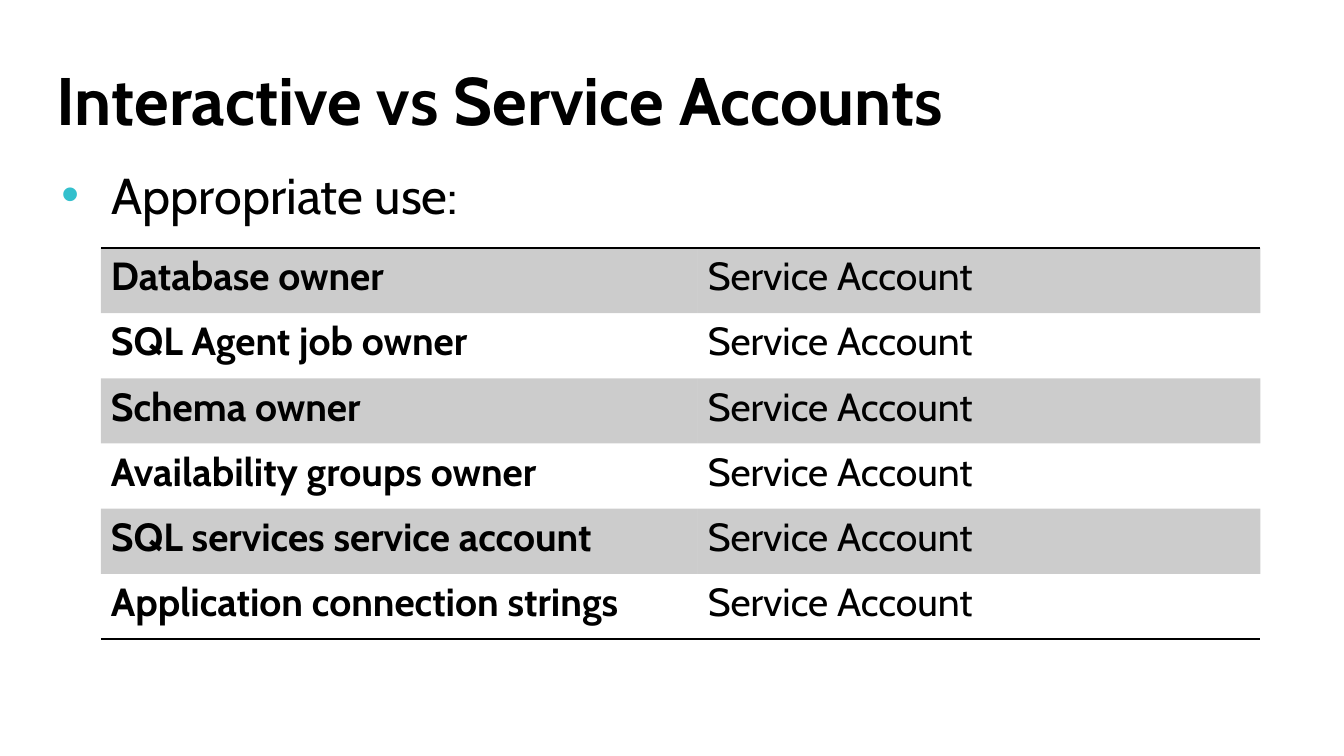
from lxml import etree
from pptx import Presentation
from pptx.dml.color import RGBColor
from pptx.enum import text
from pptx.oxml import ns
from pptx.util import Inches, Pt

TITLE = "Interactive vs Service Accounts"
LEAD = "Appropriate use:"
ROWS = [
    ("Database owner", "Service Account"),
    ("SQL Agent job owner", "Service Account"),
    ("Schema owner", "Service Account"),
    ("Availability groups owner", "Service Account"),
    ("SQL services service account", "Service Account"),
    ("Application connection strings", "Service Account"),
]
COLS = (5.92, 5.58)
HEIGHT = 3.88
FONT = "Cabin"
HUES = {"ink": "000000", "dot": "33C0CD", "page": "FFFFFF"}


def sub(node, tag, **attrs):
    """Add a child element in the drawing namespace."""
    return etree.SubElement(node, ns.qn("a:" + tag), attrs)


def write(frame, words, size, bold=False, line=None, bullet=None, indent=0.5):
    """Write one formatted paragraph into a text frame."""
    frame.word_wrap = True
    para = frame.paragraphs[0]
    if line:
        para.line_spacing = Pt(line)
    if bullet:
        props = para._p.get_or_add_pPr()
        props.set("marL", str(Inches(indent)))
        props.set("indent", str(-Inches(indent)))
        sub(sub(props, "buClr"), "srgbClr", val=HUES["dot"])
        sub(props, "buFont", typeface="Arial")
        sub(props, "buChar", char=bullet)
    run = para.add_run()
    run.text = words
    run.font.name, run.font.size, run.font.bold = FONT, Pt(size), bold
    run.font.color.rgb = RGBColor.from_string(HUES["ink"])


def box(slide, words, left, top, width, height, inset=0.05, **look):
    """Add a top-anchored text box."""
    frame = slide.shapes.add_textbox(*map(Inches, (left, top, width, height))).text_frame
    frame.margin_top = Inches(inset)
    frame.vertical_anchor = text.MSO_ANCHOR.TOP
    write(frame, words, **look)


def edge(cell, sides):
    """Rule the given sides of a cell and clear the others."""
    props = cell._tc.get_or_add_tcPr()
    for side in "LRTB":
        line = sub(props, "ln" + side, w=str(Pt(1)))
        if side in sides:
            sub(sub(line, "solidFill"), "srgbClr", val=HUES["ink"])
        else:
            sub(line, "noFill")


def shade(cell, alpha):
    """Fill a cell with see-through ink."""
    cell.fill.solid()
    cell.fill.fore_color.rgb = RGBColor.from_string(HUES["ink"])
    tint = cell._tc.tcPr.find(".//" + ns.qn("a:solidFill") + "[last()]")
    tint = cell._tc.tcPr.find(ns.qn("a:solidFill"))
    sub(tint[0], "alpha", val=str(alpha * 1000))


def grid(slide):
    """Add the table of uses and accounts."""
    spot = map(Inches, (1, 2.46, sum(COLS), HEIGHT))
    table = slide.shapes.add_table(len(ROWS), len(COLS), *spot).table
    table.first_row = table.horz_banding = False
    for col, width in zip(table.columns, COLS):
        col.width = Inches(width)
    for r, row in enumerate(ROWS):
        for c, words in enumerate(row):
            cell = table.cell(r, c)
            write(cell.text_frame, words, 28, bold=c == 0)
            edge(cell, {0: "T", len(ROWS) - 1: "B"}.get(r, ""))
            if r % 2 == 0:
                shade(cell, 20)
            else:
                cell.fill.background()


def main():
    """Build and save the slide."""
    deck = Presentation()
    deck.slide_width, deck.slide_height = Inches(13.33), Inches(7.5)
    slide = deck.slides.add_slide(deck.slide_layouts[6])
    slide.background.fill.solid()
    slide.background.fill.fore_color.rgb = RGBColor.from_string(HUES["page"])
    box(slide, TITLE, 0.46, 0.64, 12.37, 0.9, inset=0.09, size=48, bold=True, line=46.7)
    box(slide, LEAD, 0.51, 1.58, 12.77, 4.75, size=36, bullet="•")
    grid(slide)
    deck.save("out.pptx")


if __name__ == "__main__":
    main()
